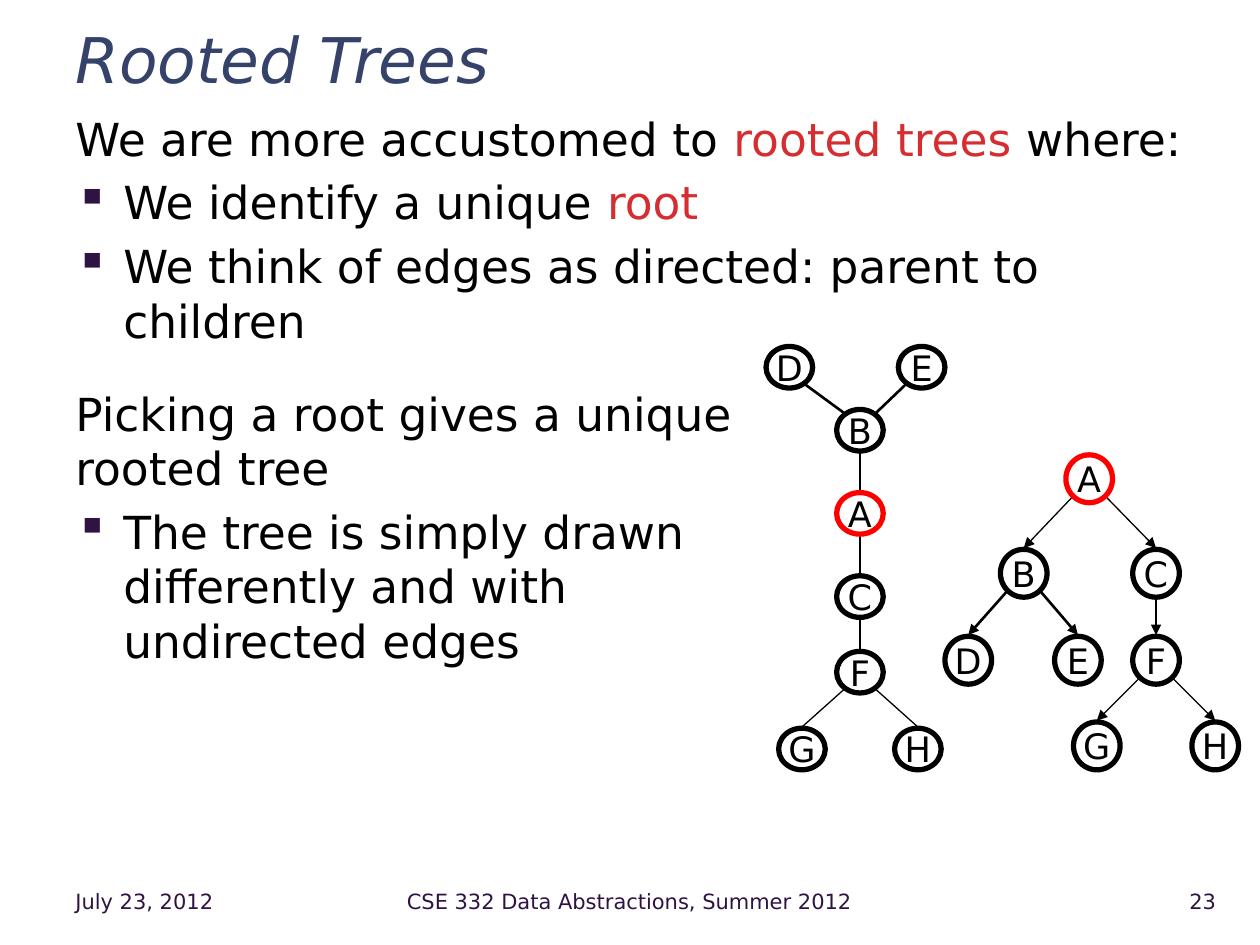
from pptx import Presentation
from pptx.dml.color import RGBColor
from pptx.enum.shapes import MSO_CONNECTOR as Link, MSO_SHAPE as Shape
from pptx.enum.text import MSO_ANCHOR as Anchor, PP_ALIGN as Align
from pptx.oxml.ns import qn
from pptx.util import Inches, Pt
from lxml.etree import SubElement

FONT = "DejaVu Sans"
BLACK, RED, ROOT, NAVY, PLUM = "000000", "D62D31", "FF0000", "35436A", "2F1343"
TITLE = "Rooted Trees"
# (bulleted, space before in points, [(text, colour)])
BODY = [
    (False, 5.2, [("We are more accustomed to ", BLACK), ("rooted trees ", RED),
                  ("where:", BLACK)]),
    (True, 5.2, [("We identify a unique ", BLACK), ("root", RED)]),
    (True, 5.2, [("We think of edges as directed: parent to children", BLACK)]),
    (False, 22, [("Picking a root gives a unique \nrooted tree", BLACK)]),
    (True, 5.2, [("The tree is simply drawn \ndifferently and with \n"
                  "undirected edges", BLACK)]),
]
# (left, width, alignment, text)
FOOTER = [
    (0.5, 1.75, Align.LEFT, "July 23, 2012"),
    (2.32, 5.35, Align.CENTER, "CSE 332 Data Abstractions, Summer 2012"),
    (8.89, 0.86, Align.RIGHT, "23"),
]
EDGES = ["AB", "AC", "BD", "BE", "CF", "FG", "FH"]
THICK = {"BD", "BE"}
NODE = 0.37
# Nodes are given by left and top
TREES = [
    {"high": 0.33, "arrows": False, "nodes": {
        "A": (6.64, 3.91), "B": (6.64, 3.25), "C": (6.64, 4.57),
        "D": (6.08, 2.75), "E": (7.13, 2.75), "F": (6.64, 5.17),
        "G": (6.18, 5.78), "H": (7.1, 5.78)}},
    {"high": 0.38, "arrows": True, "nodes": {
        "A": (8.46, 3.61), "B": (7.94, 4.36), "C": (8.99, 4.36),
        "D": (7.5, 5.05), "E": (8.37, 5.05), "F": (8.99, 5.05),
        "G": (8.52, 5.73), "H": (9.46, 5.73)}},
]


def rgb(code):
    return RGBColor.from_string(code)


def style(font, size, color):
    font.name, font.size, font.color.rgb = FONT, Pt(size), rgb(color)


def add_box(left, top, width, height, anchor=Anchor.MIDDLE):
    frame = slide.shapes.add_textbox(*map(Inches, (left, top, width, height))).text_frame
    frame.word_wrap = True
    frame.vertical_anchor = anchor
    return frame


def add_bullet(para):
    props = para._p.get_or_add_pPr()
    props.set("marL", str(Inches(0.38)))
    props.set("indent", str(Inches(-0.38)))
    SubElement(SubElement(props, qn("a:buClr")), qn("a:srgbClr"), val=PLUM)
    SubElement(props, qn("a:buChar"), char="▪")


def add_node(name, left, top, high):
    node = slide.shapes.add_shape(Shape.OVAL, *map(Inches, (left, top, NODE, high)))
    node.shadow.inherit = False
    node.fill.background()
    node.line.color.rgb = rgb(ROOT if name == "A" else BLACK)
    node.line.width = Pt(3)
    frame = node.text_frame
    frame.word_wrap = False
    frame.vertical_anchor = Anchor.MIDDLE
    para = frame.paragraphs[0]
    para.text, para.alignment = name, Align.CENTER
    style(para.font, 20, BLACK)


def edge_ends(start, end, high):
    """Leave the parent's rim towards the child and stop just short of the child."""
    (x1, y1), (x2, y2) = [(x + NODE / 2, y + high / 2) for x, y in (start, end)]
    side = (x2 > x1) - (x2 < x1)
    down = 1 if y2 > y1 else -1
    rim = high / 2 + 0.01
    corner = 0.14 if side else rim
    x1, y1 = x1 + side * 0.13, y1 + down * corner
    if side and down < 0:
        return x1, y1, x2 - side * 0.13, y2 + corner
    return x1, y1, x2, y2 - down * rim


def add_edge(ends, width, arrow):
    edge = slide.shapes.add_connector(Link.STRAIGHT, *map(Inches, ends))
    edge.line.color.rgb = rgb(BLACK)
    edge.line.width = Pt(width)
    if arrow:
        SubElement(edge.line._get_or_add_ln(), qn("a:tailEnd"), type="triangle")
    SubElement(edge._element.spPr, qn("a:effectLst"))


deck = Presentation()
deck.slide_width, deck.slide_height = Inches(10), Inches(7.5)
slide = deck.slides.add_slide(deck.slide_layouts[6])

head = add_box(0.5, 0.17, 9.25, 0.53).paragraphs[0]
head.text, head.line_spacing = TITLE, 1.1
style(head.font, 36, NAVY)
head.font.italic = True

body = add_box(0.5, 0.83, 9.25, 6, Anchor.TOP)
for i, (bullet, before, parts) in enumerate(BODY):
    para = body.add_paragraph() if i else body.paragraphs[0]
    para.space_before = Pt(before)
    style(para.font, 26, BLACK)
    if bullet:
        add_bullet(para)
    for text, color in parts:
        for j, line in enumerate(text.split("\n")):
            if j:
                para.add_line_break()
            run = para.add_run()
            run.text = line
            style(run.font, 26, color)

for left, width, align, text in FOOTER:
    para = add_box(left, 6.95, width, 0.4).paragraphs[0]
    para.text, para.alignment = text, align
    style(para.font, 12, PLUM)

for tree in TREES:
    nodes, high = tree["nodes"], tree["high"]
    for edge in EDGES:
        start, end = (nodes[name] for name in edge)
        add_edge(edge_ends(start, end, high), 1.5 if edge in THICK else 0.75,
                 tree["arrows"])
    for name, (left, top) in nodes.items():
        add_node(name, left, top, high)

deck.save("out.pptx")
